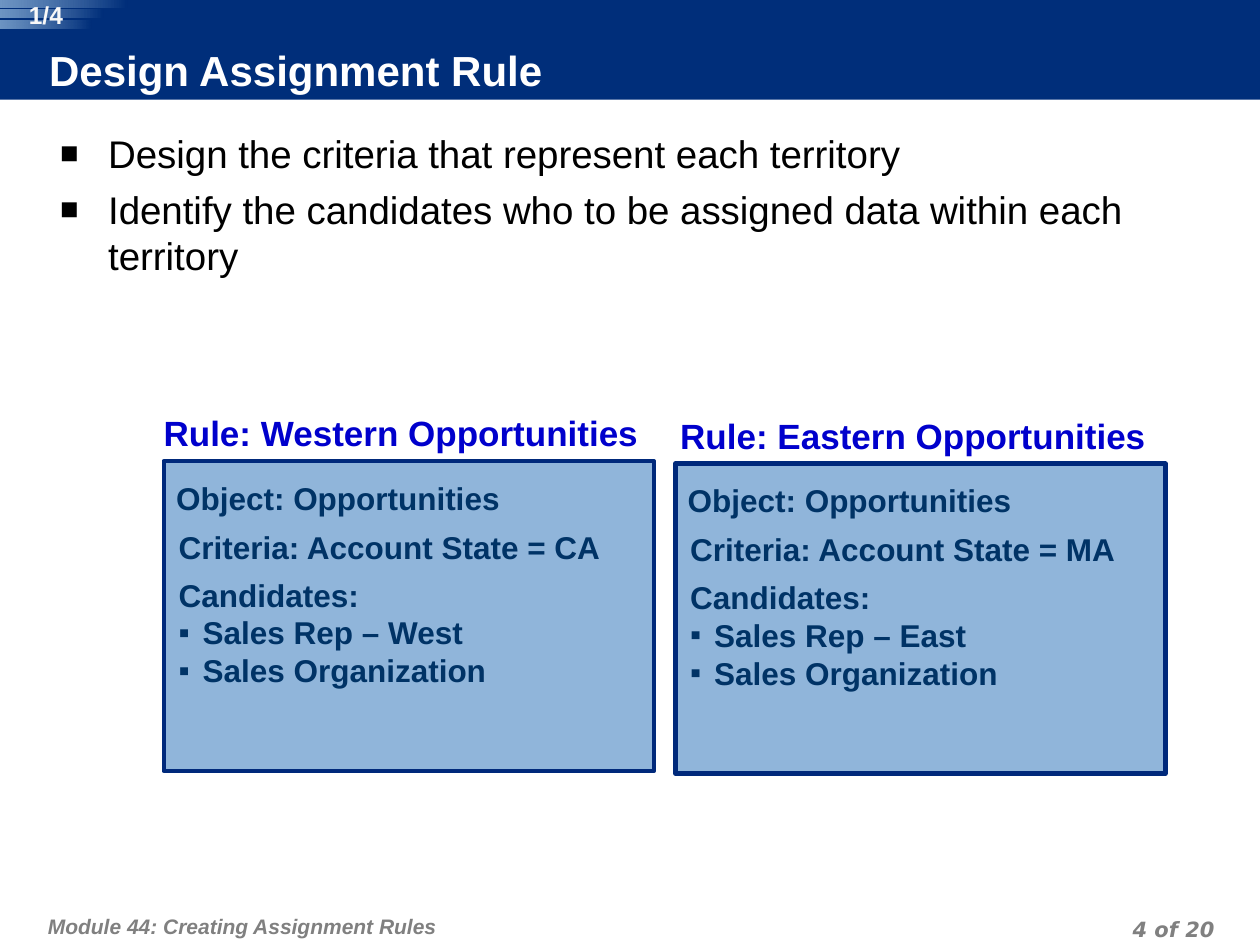
from lxml import etree
from pptx import Presentation
from pptx.dml.color import RGBColor
from pptx.enum import shapes, text
from pptx.oxml.ns import qn
from pptx.util import Inches, Pt

NAVY, SKY, INK, GRAY = "002E7A", "90B5DA", "003366", "808080"


def color(value):
    return RGBColor.from_string(value)


def style(paragraph, size, hue, bold=True, italic=False, face="Arial"):
    font = paragraph.font
    font.name, font.size = face, Pt(size)
    font.bold, font.italic = bold, italic
    font.color.rgb = color(hue)


def set_insets(frame, left, top, right, bottom):
    frame.margin_left, frame.margin_top = Inches(left), Inches(top)
    frame.margin_right, frame.margin_bottom = Inches(right), Inches(bottom)


def add_bullet(paragraph, mark, hue, indent, percent=100):
    """Give the paragraph a hanging indent; an empty mark leaves out the bullet."""
    props = paragraph._p.get_or_add_pPr()
    props.set("marL", str(Inches(indent)))
    props.set("indent", str(-Inches(indent)))
    if not mark:
        return
    bullet_color = etree.SubElement(props, qn("a:buClr"))
    etree.SubElement(bullet_color, qn("a:srgbClr"), val=hue)
    etree.SubElement(props, qn("a:buSzPct"), val=str(percent * 1000))
    etree.SubElement(props, qn("a:buFont"), typeface="Arial")
    etree.SubElement(props, qn("a:buChar"), char=mark)


def add_text(parent, box, lines, insets=(0.1, 0.05, 0.1, 0.05)):
    """Add a wrapped text box and return its paragraphs, still unstyled."""
    frame = parent.add_textbox(*map(Inches, box)).text_frame
    frame.word_wrap = True
    set_insets(frame, *insets)
    frame.text = "\n".join(lines)
    return frame.paragraphs


def add_label(parent, box, label, size, hue):
    style(add_text(parent, box, [label])[0], size, hue)


def add_block(parent, kind, box, fill):
    block = parent.add_shape(kind, *map(Inches, box))
    block.shadow.inherit = False
    block.fill.solid()
    block.fill.fore_color.rgb = color(fill)
    block.line.fill.background()
    return block


def add_title(slide, wording):
    title = slide.shapes.title
    slide.shapes._spTree.append(title._element)  # in front of the header bar
    title.left, title.top = Inches(0.39), Inches(0.38)
    title.width, title.height = Inches(9.17), Inches(0.4)
    title.fill.solid()
    title.fill.fore_color.rgb = color(NAVY)
    frame = title.text_frame
    frame.text = wording
    frame.auto_size = text.MSO_AUTO_SIZE.NONE
    frame.vertical_anchor = text.MSO_ANCHOR.MIDDLE
    set_insets(frame, 0, 0, 0.05, 0.05)
    frame.paragraphs[0].alignment = text.PP_ALIGN.LEFT
    style(frame.paragraphs[0], 24, "FFFFFF")


def add_step_marker(slide, step):
    marker = slide.shapes.add_group_shape().shapes
    for row, (width, height) in enumerate([(1.01, 0.06), (0.82, 0.06), (0.73, 0.07)]):
        stripe = add_block(marker, shapes.MSO_SHAPE.ROUNDED_RECTANGLE,
                           (0, 0.08 * row, width, height), NAVY)
        stripe.adjustments[0] = 0
        stripe.fill.gradient()
        stripe.fill.gradient_angle = 180
        start, end = stripe.fill.gradient_stops
        start.color.rgb, end.color.rgb = color(NAVY), color(SKY)
        start.position, end.position = 0, 1
        tint = stripe._element.spPr.findall(".//" + qn("a:srgbClr"))[-1]
        etree.SubElement(tint, qn("a:alpha"), val="76000")
    number = add_text(marker, (0.11, 0, 0.51, 0.23), [step], (0, 0, 0, 0))[0]
    number.alignment = text.PP_ALIGN.CENTER
    style(number, 14, "F8F8F8")


def add_footer(slide, box, wording, insets, face, align):
    footer = add_text(slide.shapes, box, [wording], insets)[0]
    footer.alignment = align
    footer.line_spacing = Pt(18)
    style(footer, 12, GRAY, italic=True, face=face)


def add_points(slide, points):
    paragraphs = add_text(slide.shapes, (0.38, 0.93, 9.3, 6.18), points,
                          (0.1, 0.1, 0.1, 0.05))
    for index, point in enumerate(paragraphs):
        add_bullet(point, "■", "000000", 0.38, 80)
        if index:
            point.space_before = Pt(5.5)
        style(point, 22, "000000", bold=False)


def add_rule(slide, left, top, heading_left, region, state):
    """Draw one assignment rule: heading, panel, object, criteria, candidates."""
    parent = slide.shapes
    panel = add_block(parent, shapes.MSO_SHAPE.RECTANGLE, (left, top, 3.89, 2.46), SKY)
    panel.line.color.rgb = color("00297B")
    panel.line.width = Pt(2.5)
    add_label(parent, (left, top + 0.09, 3.4, 0.4), "Object: Opportunities", 18, INK)
    add_label(parent, (left + 0.02, top + 0.48, 3.8, 0.4),
              f"Criteria: Account State = {state}", 18, INK)
    candidates = add_text(parent, (left + 0.02, top + 0.86, 3.4, 1),
                          ["Candidates:", f"Sales Rep – {region}", "Sales Organization"])
    for index, candidate in enumerate(candidates):
        add_bullet(candidate, "▪" if index else "", INK, 0.19)
        style(candidate, 18, INK)
    add_label(parent, (heading_left, top - 0.44, 3.98, 0.44),
              f"Rule: {region}ern Opportunities", 20, "0000CC")


def main():
    deck = Presentation()
    deck.slide_width, deck.slide_height = Inches(10), Inches(7.5)
    slide = deck.slides.add_slide(deck.slide_layouts.get_by_name("Title Only"))

    add_block(slide.shapes, shapes.MSO_SHAPE.RECTANGLE, (0, 0, 10, 0.79), NAVY)
    add_footer(slide, (0.33, 7.1, 6.18, 0.4), "Module 44: Creating Assignment Rules",
               (0.05, 0.1, 0.05, 0.05), "Arial", text.PP_ALIGN.LEFT)
    add_footer(slide, (7.36, 7.22, 2.33, 0.25), "4 of 20",
               (0.05, 0, 0.05, 0), "DejaVu Sans", text.PP_ALIGN.RIGHT)
    add_title(slide, "Design Assignment Rule")
    add_step_marker(slide, "1/4")
    add_points(slide, [
        "Design the criteria that represent each territory",
        "Identify the candidates who to be assigned data within each territory",
    ])
    add_rule(slide, 1.3, 3.66, 1.2, "West", "CA")
    add_rule(slide, 5.36, 3.68, 5.3, "East", "MA")
    deck.save("out.pptx")


if __name__ == "__main__":
    main()
